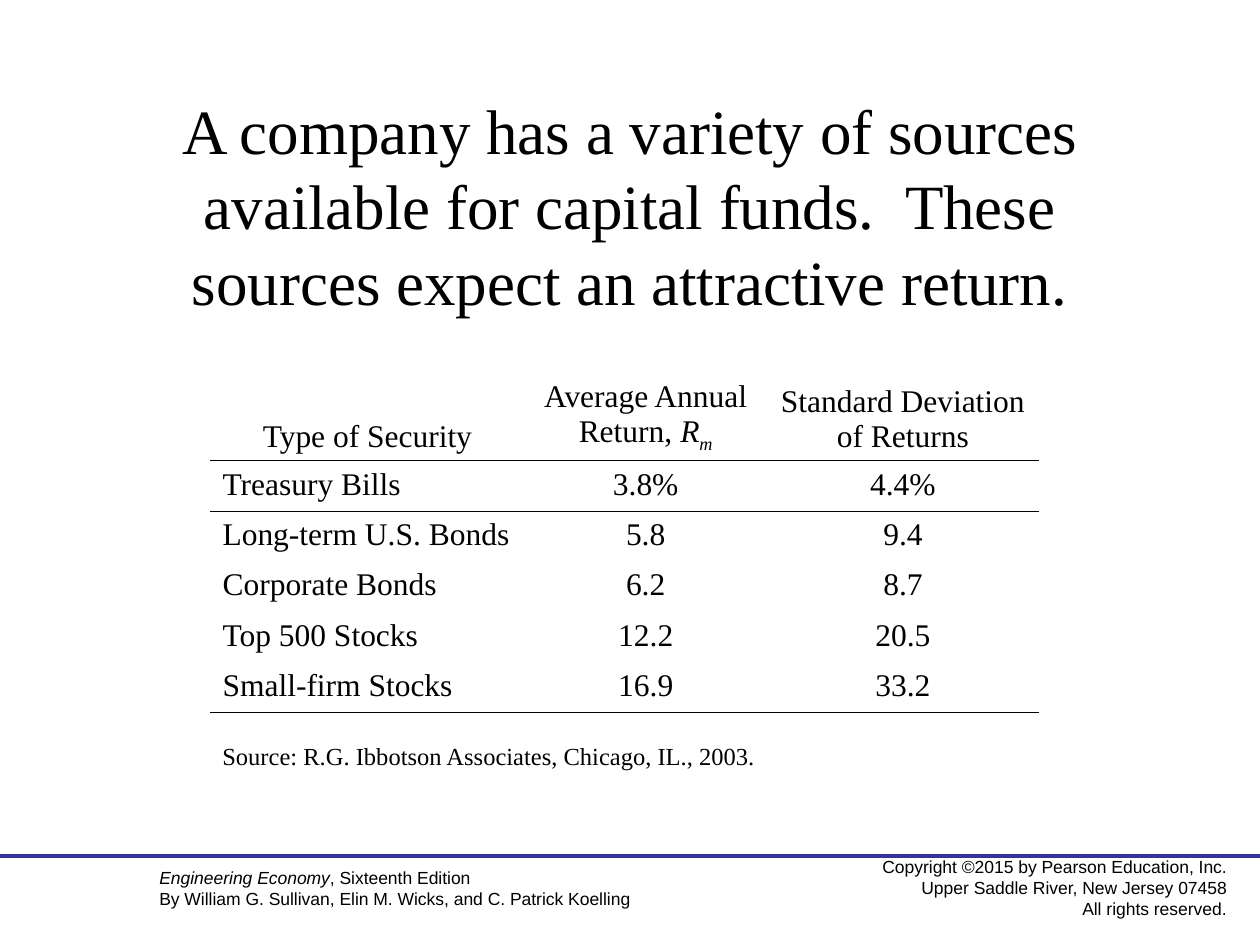
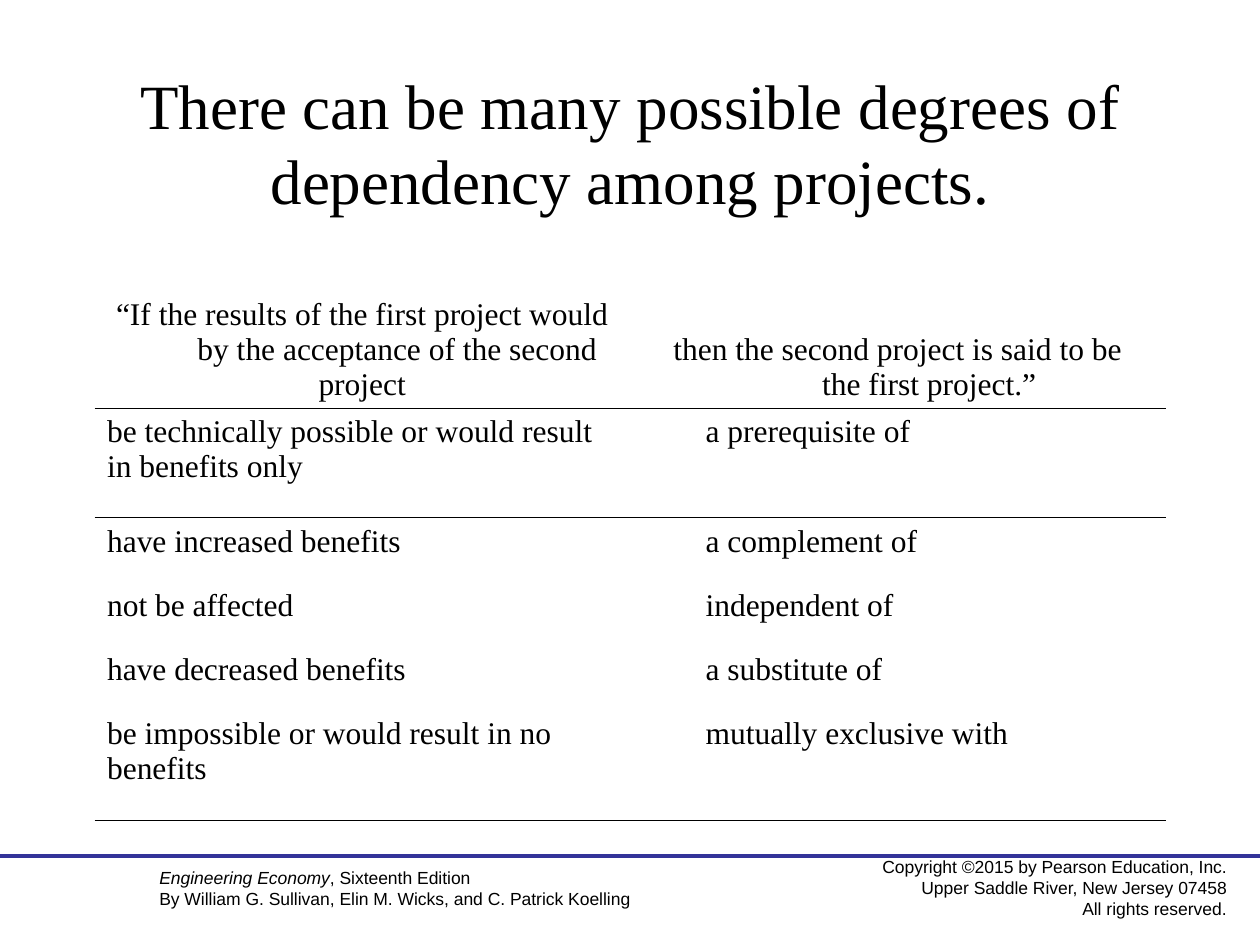
from lxml.etree import SubElement
from pptx import Presentation
from pptx.dml.color import RGBColor
from pptx.enum.shapes import MSO_CONNECTOR
from pptx.enum.text import MSO_ANCHOR, MSO_AUTO_SIZE, PP_ALIGN
from pptx.oxml.ns import qn
from pptx.util import Pt

BLACK, RULE_BLUE = "000000", "333399"
SERIF, SANS = "Times New Roman", "Arial"
PLAIN_TABLE = "{2D5ABB26-0587-4C30-8999-92F81FD0307C}"

COPYRIGHT = [
    "Copyright ©2015 by Pearson Education, Inc.",
    "Upper Saddle River, New Jersey 07458",
    "All rights reserved.",
]
BOOK = [
    [("Engineering Economy", "italic"), (", Sixteenth Edition", "")],
    "By William G. Sullivan, Elin M. Wicks, and C. Patrick Koelling",
]
SOURCE = "Source: R.G. Ibbotson Associates, Chicago, IL., 2003."

SLIDES = [
    {
        "title": "A company has a variety of sources available for capital funds.  "
                 "These sources expect an attractive return.",
        "title_box": (54, 48, 612, 138),
        "table_at": (120, 210),
        "columns": [180, 138, 156],
        "heights": [53.3, 28.8, 28.8, 28.8, 28.8, 28.8],
        "value_align": PP_ALIGN.CENTER,
        "value_indent": 0,
        "head": [
            ["Type of Security"],
            [[("Average Annual Return, ", ""), ("R", "italic"), ("m", "italic subscript")]],
            ["Standard Deviation of Returns"],
        ],
        "rows": [
            ("Treasury Bills", "3.8%", "4.4%"),
            ("Long-term U.S. Bonds", "5.8", "9.4"),
            ("Corporate Bonds", "6.2", "8.7"),
            ("Top 500 Stocks", "12.2", "20.5"),
            ("Small-firm Stocks", "16.9", "33.2"),
        ],
        "blanks": {},
        "source": SOURCE,
    },
    {
        "title": "There can be many possible degrees of dependency among projects.",
        "title_box": (54, 36, 612, 90),
        "table_at": (54, 144),
        "columns": [306, 306],
        "heights": [89.3, 62.6, 36.7, 36.7, 36.7, 62.6],
        "value_align": PP_ALIGN.LEFT,
        "value_indent": 36,
        "head": [
            ["“If the results of the first project would",
             "by the acceptance of the second project"],
            ["then the second project is said to be", "the first project.”"],
        ],
        "rows": [
            ("be technically possible or would result in benefits only", "a prerequisite of"),
            ("have increased benefits", "a complement of"),
            ("not be affected", "independent of"),
            ("have decreased benefits", "a substitute of"),
            ("be impossible or would result in no benefits", "mutually exclusive with"),
        ],
        "blanks": {0: 40, 1: 36},
        "source": None,
    },
]


def color(hex_code):
    """Turn a hex string into a colour."""
    return RGBColor.from_string(hex_code)


def write(frame, lines, size, font=SERIF, align=PP_ALIGN.LEFT):
    """Fill a text frame with lines that are strings or lists of styled pieces."""
    for index, line in enumerate(lines):
        paragraph = frame.paragraphs[0] if index == 0 else frame.add_paragraph()
        paragraph.alignment = align
        pieces = [(line, "")] if isinstance(line, str) else line
        for words, style in pieces:
            run = paragraph.add_run()
            run.text = words
            run.font.size, run.font.name = Pt(size), font
            run.font.color.rgb = color(BLACK)
            run.font.italic = "italic" in style
            if "subscript" in style:
                run.font._element.set("baseline", "-25000")


def add_note(slide, box, lines, size, font=SERIF, align=PP_ALIGN.LEFT, anchor=MSO_ANCHOR.TOP):
    """Add a wrapped text box."""
    note = slide.shapes.add_textbox(*map(Pt, box))
    note.text_frame.word_wrap = True
    note.text_frame.vertical_anchor = anchor
    write(note.text_frame, lines, size, font, align)
    return note


def share_footer(slide, layout):
    """Draw the footer and move it to the layout that all slides use."""
    for placeholder in list(layout.placeholders)[1:]:
        layout.shapes.element.remove(placeholder.element)
    rule = slide.shapes.add_connector(MSO_CONNECTOR.STRAIGHT, 0, Pt(489), Pt(720), Pt(489))
    rule.line.color.rgb, rule.line.width = color(RULE_BLUE), Pt(2.25)
    SubElement(rule.element.spPr, qn("a:effectLst"))
    footer = [
        add_note(slide, (480, 486, 228, 42.5), COPYRIGHT, 10, SANS,
                 PP_ALIGN.RIGHT, MSO_ANCHOR.MIDDLE),
        add_note(slide, (84, 492, 360, 31.7), BOOK, 10, SANS),
        rule,
    ]
    for part in footer:
        layout.shapes.element.append(part.element)


def draw_border(cell, side):
    """Draw a thin black border on one side of a cell."""
    properties = cell._tc.get_or_add_tcPr()
    border = SubElement(properties, qn(f"a:{side}"), w=str(Pt(0.45)))
    fill = SubElement(border, qn("a:solidFill"))
    SubElement(fill, qn("a:srgbClr"), val=BLACK)


def add_data_table(slide, content):
    """Add the table with rules below its head and its last row."""
    heads, rows = content["head"], content["rows"]
    columns, heights = content["columns"], content["heights"]
    box = (*content["table_at"], sum(columns), sum(heights))
    frame = slide.shapes.add_table(len(heights), len(columns), *map(Pt, box))
    table = frame.table
    table.first_row = table.horz_banding = False
    next(frame.element.iter(qn("a:tableStyleId"))).text = PLAIN_TABLE
    for column, width in zip(table.columns, columns):
        column.width = Pt(width)
    for row, height in zip(table.rows, heights):
        row.height = Pt(height)
    grid = [heads] + [[[words] for words in row] for row in rows]
    for r, row in enumerate(grid):
        for c, lines in enumerate(row):
            cell = table.cell(r, c)
            cell.margin_left = cell.margin_right = Pt(7.2)
            cell.margin_top = cell.margin_bottom = Pt(3.6)
            if r == 0:
                align = PP_ALIGN.CENTER
                cell.vertical_anchor = MSO_ANCHOR.BOTTOM
            else:
                align = content["value_align"] if c else PP_ALIGN.LEFT
            write(cell.text_frame, lines, 18, align=align)
            if r and c and content["value_indent"]:
                properties = cell.text_frame.paragraphs[0]._p.get_or_add_pPr()
                properties.set("marL", str(Pt(content["value_indent"])))
            if r == 1:
                draw_border(cell, "lnT")
            if r in (0, len(rows)):
                draw_border(cell, "lnB")
            cell.fill.background()
    for c, blank in content["blanks"].items():
        properties = table.cell(0, c).text_frame.paragraphs[1]._p.get_or_add_pPr()
        properties.set("indent", str(Pt(blank)))


def add_title(slide, content):
    """Place and format the slide title."""
    title = slide.shapes.title
    title.left, title.top, title.width, title.height = map(Pt, content["title_box"])
    title.text_frame.word_wrap = True
    title.text_frame.auto_size = MSO_AUTO_SIZE.NONE
    title.text_frame.vertical_anchor = MSO_ANCHOR.MIDDLE
    write(title.text_frame, [content["title"]], 36, align=PP_ALIGN.CENTER)


def main():
    """Build and save the slides."""
    deck = Presentation()
    deck.slide_width, deck.slide_height = Pt(720), Pt(540)
    layout = deck.slide_layouts[5]
    for index, content in enumerate(SLIDES):
        slide = deck.slides.add_slide(layout)
        if index == 0:
            share_footer(slide, layout)
        add_title(slide, content)
        add_data_table(slide, content)
        if content["source"]:
            add_note(slide, (120, 420, 330, 24.5), [content["source"]], 14)
    deck.save("out.pptx")


if __name__ == "__main__":
    main()
